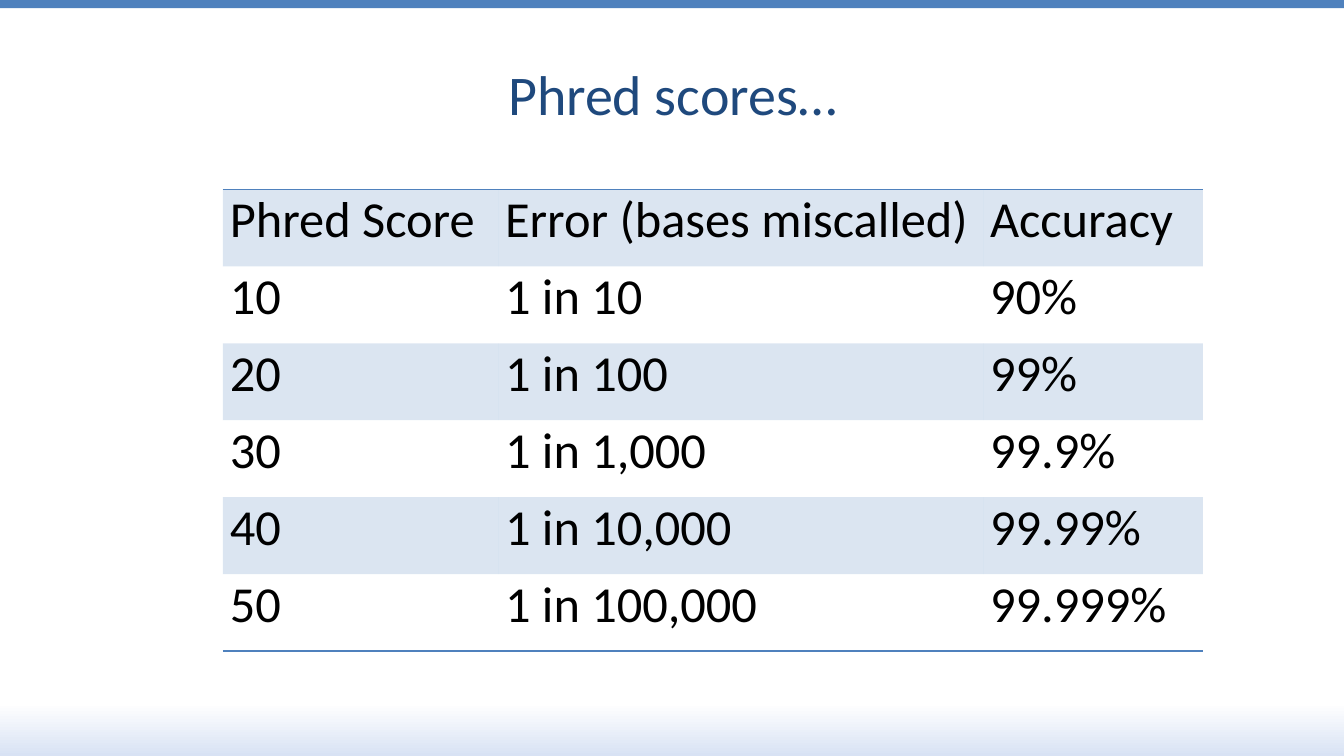
import pptx
import pptx.dml.color
import pptx.enum.shapes
import pptx.enum.text
import pptx.oxml
import pptx.oxml.ns
import pptx.util
from pptx.util import Inches

FONT = "Calibri"
BLUE = "4F81BD"
NO_STYLE = "{2D5ABB26-0587-4C30-8999-92F81FD0307C}"
SCORES = [
    ("Phred Score", "Error (bases miscalled)", "Accuracy"),
    ("10", "1 in 10", "90%"),
    ("20", "1 in 100", "99%"),
    ("30", "1 in 1,000", "99.9%"),
    ("40", "1 in 10,000", "99.99%"),
    ("50", "1 in 100,000", "99.999%"),
]
COLUMN_WIDTHS = (2.73, 4.81, 2.18)


def colour(value):
    return pptx.dml.color.RGBColor.from_string(value)


def style_text(para, size, value):
    for span in para.runs:
        span.font.name = FONT
        span.font.size = pptx.util.Pt(size)
        span.font.color.rgb = colour(value)


def add_background(page):
    fill = page.background.fill
    fill.gradient()
    fill.gradient_angle = 270
    for stop, position, value in zip(fill.gradient_stops, (0.93, 1), ("FFFFFF", "D8E2F4")):
        stop.position = position
        stop.color.rgb = colour(value)


def add_top_bar(page, left, top, width, height):
    bar = page.shapes.add_shape(
        pptx.enum.shapes.MSO_SHAPE.RECTANGLE,
        Inches(left), Inches(top), Inches(width), Inches(height))
    bar.shadow.inherit = False
    bar.fill.solid()
    bar.fill.fore_color.rgb = colour(BLUE)
    bar.line.fill.background()


def add_title(page, left, top, width, height):
    box = page.shapes.add_textbox(Inches(left), Inches(top), Inches(width), Inches(height))
    frame = box.text_frame
    frame.word_wrap = True
    frame.vertical_anchor = pptx.enum.text.MSO_ANCHOR.MIDDLE
    frame.text = "Phred scores…"
    para = frame.paragraphs[0]
    para.alignment = pptx.enum.text.PP_ALIGN.CENTER
    style_text(para, 40, "1F497D")


def add_border(cell, side):
    line = pptx.oxml.parse_xml(
        f'<a:{side} {pptx.oxml.ns.nsdecls("a")} w="12700"><a:solidFill>'
        f'<a:srgbClr val="{BLUE}"/></a:solidFill></a:{side}>')
    # Borders come before the fill in the cell properties
    cell._tc.get_or_add_tcPr().insert(0, line)


def fill_band(cell):
    cell.fill.solid()
    cell.fill.fore_color.rgb = colour(BLUE)
    tint = cell._tc.tcPr.find(".//" + pptx.oxml.ns.qn("a:srgbClr"))
    tint.append(pptx.oxml.parse_xml(f'<a:alpha {pptx.oxml.ns.nsdecls("a")} val="20000"/>'))


def add_score_table(page, left, top, width, height):
    last_row = len(SCORES) - 1
    frame = page.shapes.add_table(
        len(SCORES), len(COLUMN_WIDTHS),
        Inches(left), Inches(top), Inches(width), Inches(height))
    table = frame.table
    table.first_row = False
    table.horz_banding = False
    table._tbl.tblPr.find(pptx.oxml.ns.qn("a:tableStyleId")).text = NO_STYLE
    for column, column_width in zip(table.columns, COLUMN_WIDTHS):
        column.width = Inches(column_width)

    for r, values in enumerate(SCORES):
        for c, value in enumerate(values):
            cell = table.cell(r, c)
            cell.margin_left = cell.margin_right = Inches(0.07)
            cell.margin_top = cell.margin_bottom = 0
            cell.text_frame.text = value
            style_text(cell.text_frame.paragraphs[0], 36, "000000")
            # Every other row is tinted, starting with the header
            if r % 2 == 0:
                fill_band(cell)
            else:
                cell.fill.background()
            if r == 0:
                add_border(cell, "lnT")
            elif r == last_row:
                add_border(cell, "lnB")


def main():
    deck = pptx.Presentation()
    deck.slide_width = Inches(13.33)
    deck.slide_height = Inches(7.5)
    page = deck.slides.add_slide(deck.slide_layouts[6])
    add_background(page)
    add_top_bar(page, 0, 0, 13.33, 0.08)
    add_title(page, 0.67, 0.3, 12, 1.25)
    add_score_table(page, 2.21, 1.88, sum(COLUMN_WIDTHS), 4.58)
    deck.save("out.pptx")


if __name__ == "__main__":
    main()
